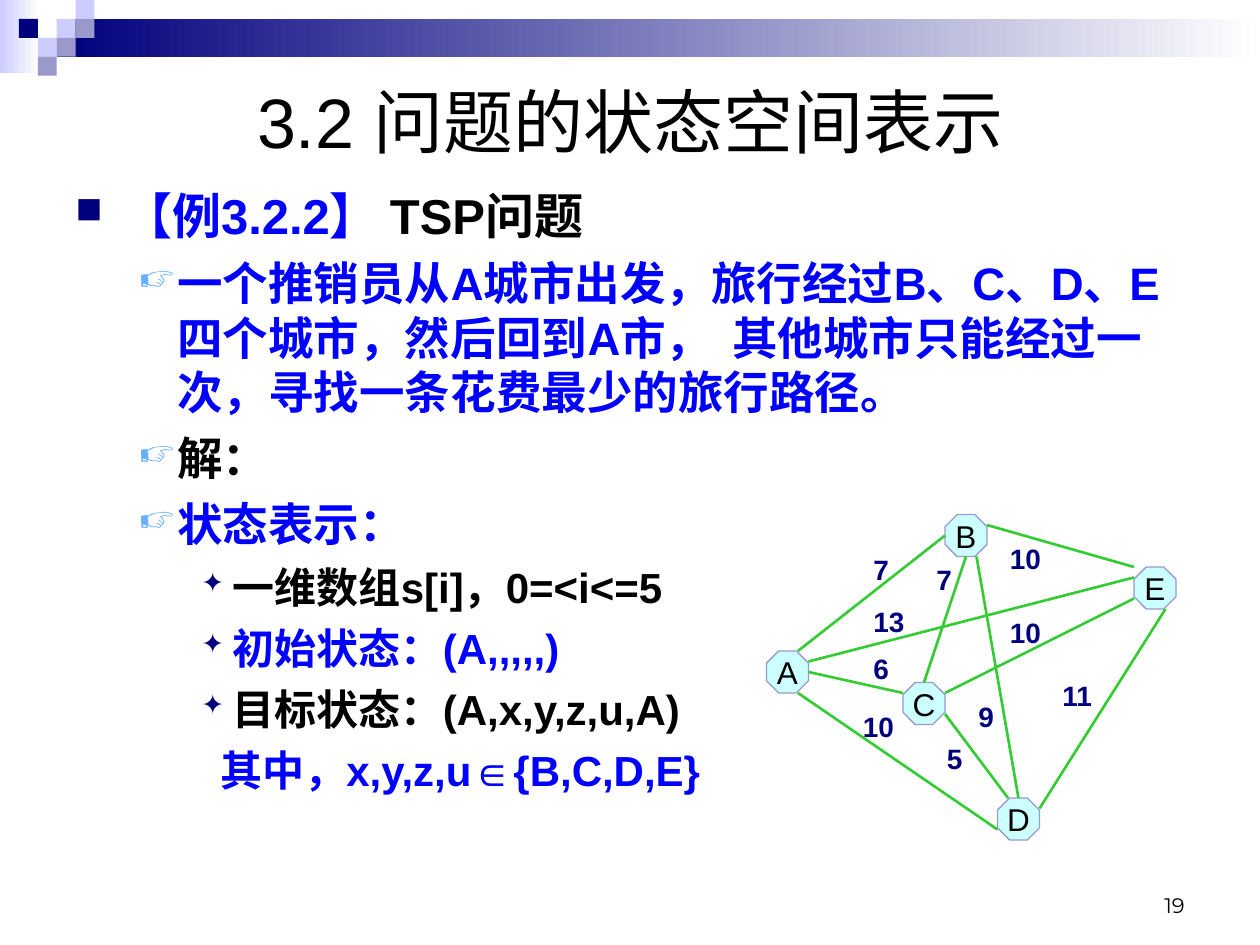
from typing import NamedTuple

from lxml import etree
from pptx import Presentation
from pptx import util as u
from pptx.dml.color import RGBColor
from pptx.enum import shapes, text
from pptx.oxml import ns

BLACK, BLUE, NAVY = "000000", "0000FF", "00007D"
LILAC, MAUVE = "CCCCFF", "9999CC"
TILE = 0.15
CELL = 1 / 12
NODE_CELLS = 4


class Tile(NamedTuple):
    column: int
    row: int
    color: str


class Level(NamedTuple):
    margin: float
    indent: float
    size: int
    before: float
    bullet: str = ""
    bullet_color: str = ""
    bullet_percent: int = 0


class Line(NamedTuple):
    level: Level
    runs: list[tuple[str, str]]


class Edge(NamedTuple):
    start: str
    start_offset: tuple[int, int]
    end: str
    end_offset: tuple[int, int]
    cost: int
    label_column: float
    label_row: float


TILES = [
    Tile(3, 1, LILAC), Tile(4, 0, LILAC), Tile(4, 1, MAUVE), Tile(2, 2, LILAC),
    Tile(1, 1, NAVY), Tile(3, 2, MAUVE), Tile(2, 3, MAUVE),
]

HEADING = Level(0.38, -0.38, 28, 7, "■", NAVY, 75)
POINT = Level(0.81, -0.31, 26, 6.5, "☞", "67AFFF", 80)
DETAIL = Level(1.25, -0.25, 24, 6, "✦", NAVY, 65)
REMARK = Level(1.25, -0.1, 24, 6)

LINES = [
    Line(HEADING, [("【例3.2.2】 ", BLUE), ("TSP问题", BLACK)]),
    Line(POINT, [("一个推销员从A城市出发，旅行经过B、C、D、E四个城市，然后回到A市，  "
                  "其他城市只能经过一次，寻找一条花费最少的旅行路径。", BLUE)]),
    Line(POINT, [("解：", BLACK)]),
    Line(POINT, [("状态表示：", BLUE)]),
    Line(DETAIL, [("一维数组s[i]，0=<i<=5", BLACK)]),
    Line(DETAIL, [("初始状态：(A,,,,,)", BLUE)]),
    Line(DETAIL, [("目标状态：(A,x,y,z,u,A)", BLACK)]),
    Line(REMARK, [("其中，x,y,z,u∈{B,C,D,E}", BLUE)]),
]

CITIES = {"A": (73, 62), "B": (90, 49), "C": (86, 65), "D": (95, 76), "E": (108, 54)}

EDGES = [
    Edge("A", (4, 2), "C", (0, 1), 6, 82, 61.5),
    Edge("A", (3, 0), "B", (0, 2), 7, 82, 52),
    Edge("A", (4, 1), "E", (0, 1), 13, 82, 57),
    Edge("A", (3, 4), "D", (0, 3), 10, 81, 67),
    Edge("C", (2, 0), "B", (2, 4), 7, 88, 53),
    Edge("C", (4, 1), "E", (0, 3), 10, 95, 58),
    Edge("C", (4, 3), "D", (1, 0), 5, 89, 70),
    Edge("B", (4, 1), "E", (0, 0), 10, 95, 51),
    Edge("D", (4, 1), "E", (3, 4), 11, 100, 64),
    Edge("B", (3, 4), "D", (2, 0), 9, 92, 66),
]


def rgb(color: str) -> RGBColor:
    return RGBColor.from_string(color)


def inches(*lengths: float) -> list[int]:
    return [u.Inches(length) for length in lengths]


def cells(*counts: float) -> list[int]:
    return inches(*(count * CELL for count in counts))


def style(font, size: int, color: str, bold: bool = False, name: str = "Arial") -> None:
    font.name, font.size, font.bold = name, u.Pt(size), bold
    font.color.rgb = rgb(color)


def add_rectangle(slide, box: list[int], *colors: str) -> None:
    shape = slide.shapes.add_shape(shapes.MSO_SHAPE.RECTANGLE, *box)
    shape.shadow.inherit = False
    shape.line.fill.background()
    if len(colors) == 1:
        shape.fill.solid()
        shape.fill.fore_color.rgb = rgb(colors[0])
        return
    shape.fill.gradient()
    shape.fill.gradient_angle = 0
    for position, (stop, color) in enumerate(zip(shape.fill.gradient_stops, colors)):
        stop.position = position
        stop.color.rgb = rgb(color)


def add_text(slide, box: list[int], content: str = ""):
    frame = slide.shapes.add_textbox(*box).text_frame
    frame.word_wrap = True
    frame.text = content
    return frame


def format_level(paragraph, level: Level) -> None:
    properties = paragraph._p.get_or_add_pPr()
    properties.set("marL", str(u.Inches(level.margin)))
    properties.set("indent", str(u.Inches(level.indent)))
    if level.bullet:
        color = etree.SubElement(properties, ns.qn("a:buClr"))
        etree.SubElement(color, ns.qn("a:srgbClr"), val=level.bullet_color)
        etree.SubElement(properties, ns.qn("a:buSzPct"), val=str(level.bullet_percent * 1000))
        etree.SubElement(properties, ns.qn("a:buChar"), char=level.bullet)
    else:
        etree.SubElement(properties, ns.qn("a:buNone"))


def add_body(slide) -> None:
    frame = add_text(slide, inches(0.5, 1.42, 9, 5))
    for index, line in enumerate(LINES):
        paragraph = frame.add_paragraph() if index else frame.paragraphs[0]
        format_level(paragraph, line.level)
        if index:
            paragraph.space_before = u.Pt(line.level.before)
        for content, color in line.runs:
            run = paragraph.add_run()
            run.text = content
            style(run.font, line.level.size, color, bold=True)


def add_city(slide, name: str, column: int, row: int) -> None:
    shape = slide.shapes.add_shape(
        shapes.MSO_SHAPE.OCTAGON, *cells(column, row, NODE_CELLS, NODE_CELLS))
    shape.shadow.inherit = False
    shape.adjustments[0] = 0.29
    shape.fill.solid()
    shape.fill.fore_color.rgb = rgb("CCFFFF")
    shape.line.color.rgb = rgb(MAUVE)
    shape.line.width = u.Pt(0.75)
    frame = shape.text_frame
    frame.word_wrap = False
    frame.vertical_anchor = text.MSO_ANCHOR.MIDDLE
    frame.text = name
    paragraph = frame.paragraphs[0]
    paragraph.alignment = text.PP_ALIGN.CENTER
    style(paragraph.font, 18, BLACK)


def add_edge(slide, edge: Edge) -> None:
    ends = [corner + shift
            for city, offset in ((edge.start, edge.start_offset), (edge.end, edge.end_offset))
            for corner, shift in zip(CITIES[city], offset)]
    connector = slide.shapes.add_connector(shapes.MSO_CONNECTOR.STRAIGHT, *cells(*ends))
    connector.line.color.rgb = rgb("33CC33")
    connector.line.width = u.Pt(1.5)
    etree.SubElement(connector._element.spPr, ns.qn("a:effectLst"))


def add_cost(slide, edge: Edge) -> None:
    width = 3 * len(str(edge.cost))
    frame = add_text(slide, cells(edge.label_column, edge.label_row, width, 4.4), str(edge.cost))
    style(frame.paragraphs[0].font, 16, NAVY, bold=True)


def main() -> None:
    presentation = Presentation()
    presentation.slide_width, presentation.slide_height = inches(10, 7.5)
    slide = presentation.slides.add_slide(presentation.slide_layouts[5])

    add_rectangle(slide, inches(0, 0, 0.31, 0.58), LILAC, "FFFFFF")
    add_rectangle(slide, inches(3 * TILE, TILE, 10 - 3 * TILE, 2 * TILE), NAVY, "FFFFFF")
    for tile in TILES:
        add_rectangle(slide, inches(tile.column * TILE, tile.row * TILE, TILE, TILE), tile.color)

    title = slide.shapes.title
    title.left, title.top, title.width, title.height = inches(0.5, 0.5, 9, 0.92)
    title.text_frame.text = "3.2 问题的状态空间表示"
    title.text_frame.auto_size = text.MSO_AUTO_SIZE.NONE
    title.text_frame.vertical_anchor = text.MSO_ANCHOR.MIDDLE
    style(title.text_frame.paragraphs[0].font, 40, BLACK)

    add_body(slide)
    for name, corner in CITIES.items():
        add_city(slide, name, *corner)
    for edge in EDGES:
        add_edge(slide, edge)
        add_cost(slide, edge)

    number = add_text(slide, cells(86, 82, 28, 6), "19")
    number.vertical_anchor = text.MSO_ANCHOR.BOTTOM
    number.paragraphs[0].alignment = text.PP_ALIGN.RIGHT
    style(number.paragraphs[0].font, 12, BLACK, name="Montserrat")
    presentation.save("out.pptx")


if __name__ == "__main__":
    main()
